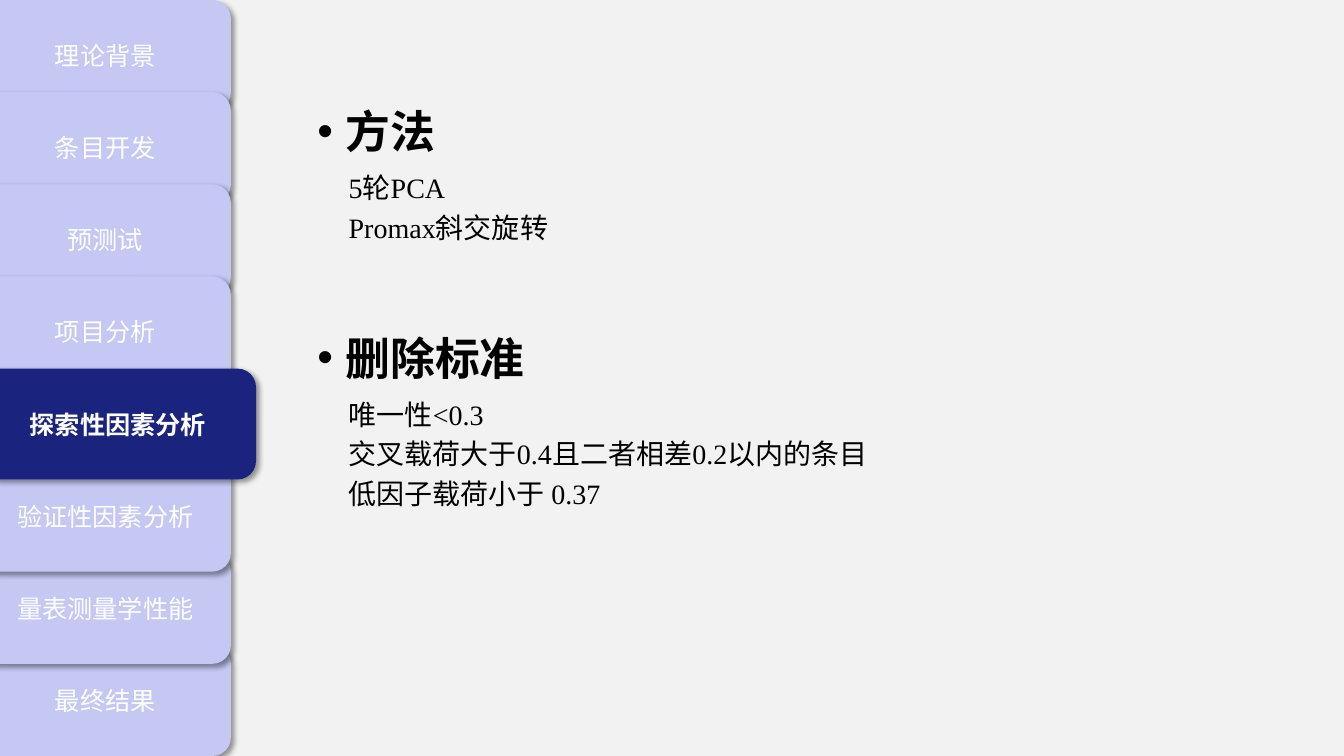
from lxml import etree
from pptx import Presentation
from pptx.dml.color import RGBColor
from pptx.enum import shapes, text
from pptx.oxml.ns import qn
from pptx.util import Pt

BACKGROUND = RGBColor(0xF2, 0xF2, 0xF2)
LILAC = RGBColor(0xC4, 0xC8, 0xF3)
NAVY = RGBColor(0x1A, 0x23, 0x7E)
WHITE = RGBColor(0xFF, 0xFF, 0xFF)
BLACK = RGBColor(0, 0, 0)
SERIF, CJK = "Times New Roman", "Noto Sans CJK SC"

TABS = ["理论背景", "条目开发", "预测试", "项目分析",
        "探索性因素分析", "验证性因素分析", "量表测量学性能", "最终结果"]
ACTIVE = 4
DRAW_ORDER = [0, 1, 2, 7, 6, 5, 3, ACTIVE]  # tabs overlap towards the active one
TAB_HEIGHT = 79.2
TAB_STEP = (540 - TAB_HEIGHT) / (len(TABS) - 1)

SECTIONS = [
    (70.56, "方法", ["5轮PCA", "Promax斜交旋转"]),
    (232.56, "删除标准", ["唯一性<0.3", "交叉载荷大于0.4且二者相差0.2以内的条目",
                      "低因子载荷小于 0.37"]),
]


def format_run(p, size, color, bold=False):
    f = p.runs[0].font
    f.size, f.bold, f.name = Pt(size), bold, SERIF
    f.color.rgb = color
    etree.SubElement(p.runs[0]._r.rPr, qn("a:ea"), typeface=CJK)


def add_text(left, top, width, height, lines):
    tf = s.shapes.add_textbox(Pt(left), Pt(top), Pt(width), Pt(height)).text_frame
    tf.word_wrap = True
    tf.text = "\n".join(lines)
    return tf.paragraphs


prs = Presentation()
prs.slide_width, prs.slide_height = Pt(960), Pt(540)
s = prs.slides.add_slide(prs.slide_layouts[6])
s.background.fill.solid()
s.background.fill.fore_color.rgb = BACKGROUND

# Navigation tabs
for i in DRAW_ORDER:
    active = i == ACTIVE
    sp = s.shapes.add_shape(shapes.MSO_SHAPE.ROUNDED_RECTANGLE, Pt(-14.4), Pt(i * TAB_STEP),
                            Pt(197.28 if active else 179.28), Pt(TAB_HEIGHT))
    sp.fill.solid()
    sp.fill.fore_color.rgb = NAVY if active else LILAC
    sp.line.fill.background()
    sp.shadow.inherit = False
    effects = sp._element.spPr.find(qn("a:effectLst"))
    shadow = etree.SubElement(effects, qn("a:outerShdw"), blurRad=str(Pt(4)), dist=str(Pt(3)),
                              dir="2700000", algn="tl", rotWithShape="0")
    black = etree.SubElement(shadow, qn("a:srgbClr"), val=str(BLACK))
    etree.SubElement(black, qn("a:alpha"), val="40000")
    tf = sp.text_frame
    tf.vertical_anchor = text.MSO_ANCHOR.MIDDLE
    tf.text = TABS[i]
    p = tf.paragraphs[0]
    p.alignment = text.PP_ALIGN.CENTER
    format_run(p, 18, WHITE, active)

# Bulleted headings with their details
for top, heading, details in SECTIONS:
    p = add_text(203.76, top, 504.72, 113.76, [heading])[0]
    format_run(p, 32, BLACK, True)
    pPr = p._p.get_or_add_pPr()
    pPr.set("marL", str(Pt(36)))
    pPr.set("indent", str(Pt(-20.16)))
    etree.SubElement(pPr, qn("a:buFont"), typeface="Arial")
    etree.SubElement(pPr, qn("a:buChar"), char="•")

    for p in add_text(190.08, top + 43.92, 488.16, 28 * len(details) + 5.2, details):
        p.level = 1
        p.line_spacing = Pt(28)
        p._p.get_or_add_pPr().set("marL", str(Pt(51.84)))
        p._p.pPr.set("indent", "0")
        format_run(p, 20, BLACK)

prs.save("out.pptx")
